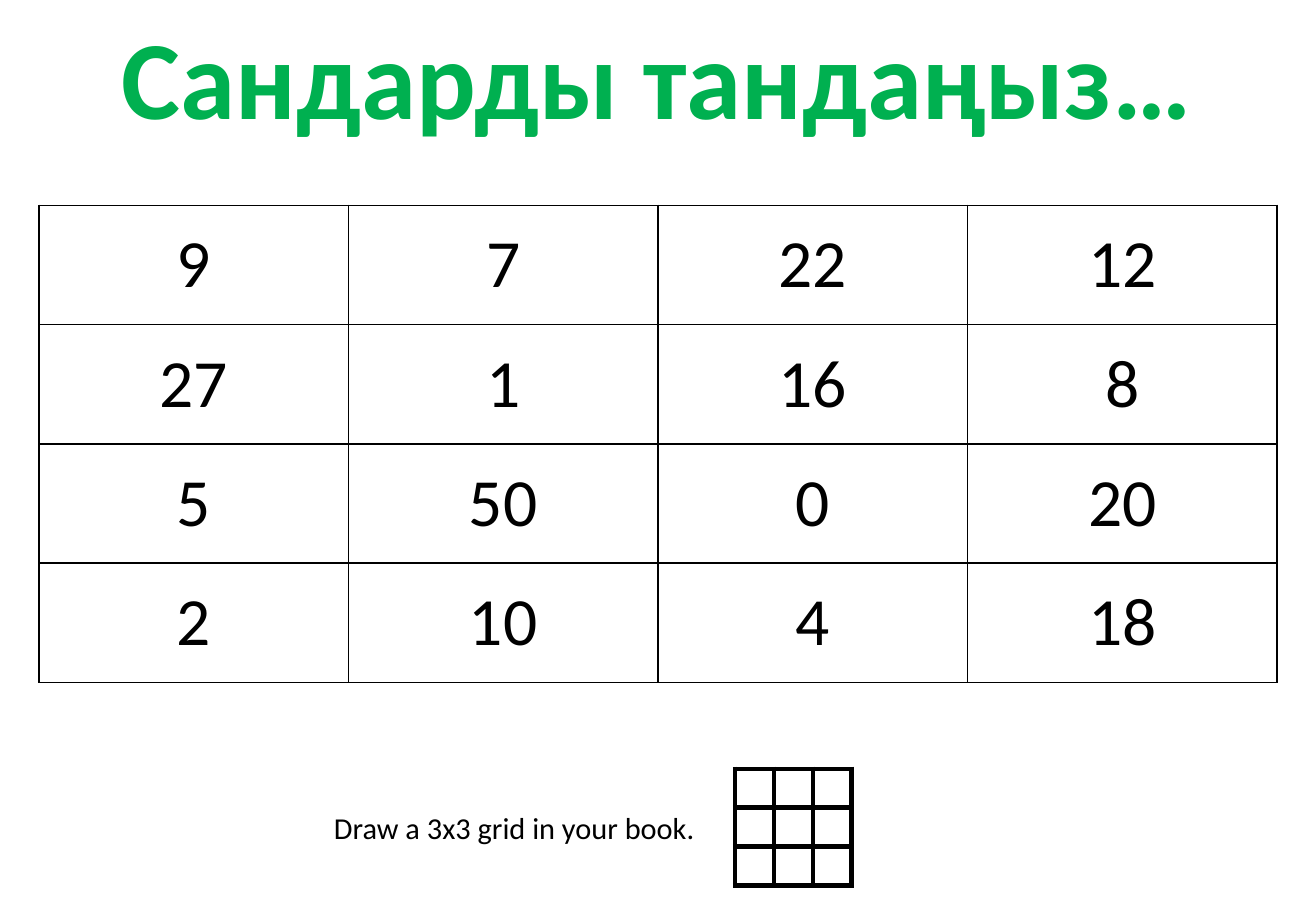
from dataclasses import dataclass

from lxml.etree import SubElement
from pptx import Presentation
from pptx.dml.color import RGBColor
from pptx.enum.text import MSO_ANCHOR as Anchor, MSO_AUTO_SIZE as AutoSize, PP_ALIGN as Align
from pptx.oxml.ns import qn
from pptx.slide import Slide
from pptx.table import _Cell as Cell
from pptx.text.text import _Paragraph as Paragraph
from pptx.util import Inches, Pt

SLIDE_WIDTH, SLIDE_HEIGHT = Inches(10.83), Inches(7.5)
FONT = "Calibri"
COLOURS = {"ink": "000000", "paper": "FFFFFF", "title": "00B050"}


@dataclass(frozen=True)
class Area:
    """A rectangle in percent of the slide's width and height."""
    left: float
    top: float
    width: float
    height: float

    def lengths(self) -> tuple[int, int, int, int]:
        across, down = SLIDE_WIDTH / 100, SLIDE_HEIGHT / 100
        return (round(self.left * across), round(self.top * down),
                round(self.width * across), round(self.height * down))


@dataclass(frozen=True)
class TextStyle:
    size: float
    colour: str = "ink"
    bold: bool = False
    align: Align = Align.CENTER


@dataclass(frozen=True)
class Label:
    text: str
    area: Area
    style: TextStyle


@dataclass(frozen=True)
class Grid:
    rows: list[list[str]]
    area: Area
    border: float
    style: TextStyle


NUMBERS = [
    ["9", "7", "22", "12"],
    ["27", "1", "16", "8"],
    ["5", "50", "0", "20"],
    ["2", "10", "4", "18"],
]
NUMBER_GRID = Grid(NUMBERS, Area(2.95, 22.53, 94.1, 52.4), 1, TextStyle(40))
BLANK_GRID = Grid([[""] * 3] * 3, Area(55.86, 84.4, 8.86, 12.8), 3, TextStyle(18))
TITLE = Label("Сандарды тандаңыз…", Area(7.29, 0.27, 85.32, 16.13),
              TextStyle(66, "title", bold=True))
INSTRUCTION = Label("Draw a 3x3 grid in your book.", Area(24.47, 88.13, 29.55, 5.33),
                    TextStyle(18, align=Align.LEFT))


def add_run(paragraph: Paragraph, text: str, style: TextStyle) -> None:
    paragraph.alignment = style.align
    run = paragraph.add_run()
    run.text = text
    run.font.name = FONT
    run.font.size = Pt(style.size)
    run.font.bold = style.bold
    run.font.color.rgb = RGBColor.from_string(COLOURS[style.colour])


def add_label(slide: Slide, label: Label) -> None:
    frame = slide.shapes.add_textbox(*label.area.lengths()).text_frame
    frame.word_wrap = False
    frame.auto_size = AutoSize.SHAPE_TO_FIT_TEXT
    add_run(frame.paragraphs[0], label.text, label.style)


def format_cell(cell: Cell, border: float) -> None:
    cell.margin_left = cell.margin_right = cell.margin_top = cell.margin_bottom = 0
    cell.vertical_anchor = Anchor.MIDDLE
    properties = cell._tc.get_or_add_tcPr()
    for side in ("a:lnL", "a:lnR", "a:lnT", "a:lnB"):
        line = SubElement(properties, qn(side), w=str(Pt(border)))
        fill = SubElement(line, qn("a:solidFill"))
        SubElement(fill, qn("a:srgbClr"), val=COLOURS["ink"])
    cell.fill.solid()
    cell.fill.fore_color.rgb = RGBColor.from_string(COLOURS["paper"])


def add_grid(slide: Slide, grid: Grid) -> None:
    row_count, column_count = len(grid.rows), len(grid.rows[0])
    table = slide.shapes.add_table(row_count, column_count, *grid.area.lengths()).table
    table.first_row = table.horz_banding = False
    for row_index, row in enumerate(grid.rows):
        for column_index, text in enumerate(row):
            cell = table.cell(row_index, column_index)
            format_cell(cell, grid.border)
            if text:
                add_run(cell.text_frame.paragraphs[0], text, grid.style)


def main() -> None:
    presentation = Presentation()
    presentation.slide_width, presentation.slide_height = SLIDE_WIDTH, SLIDE_HEIGHT
    slide = presentation.slides.add_slide(presentation.slide_layouts[6])
    add_grid(slide, NUMBER_GRID)
    add_label(slide, TITLE)
    add_grid(slide, BLANK_GRID)
    add_label(slide, INSTRUCTION)
    presentation.save("out.pptx")


if __name__ == "__main__":
    main()
